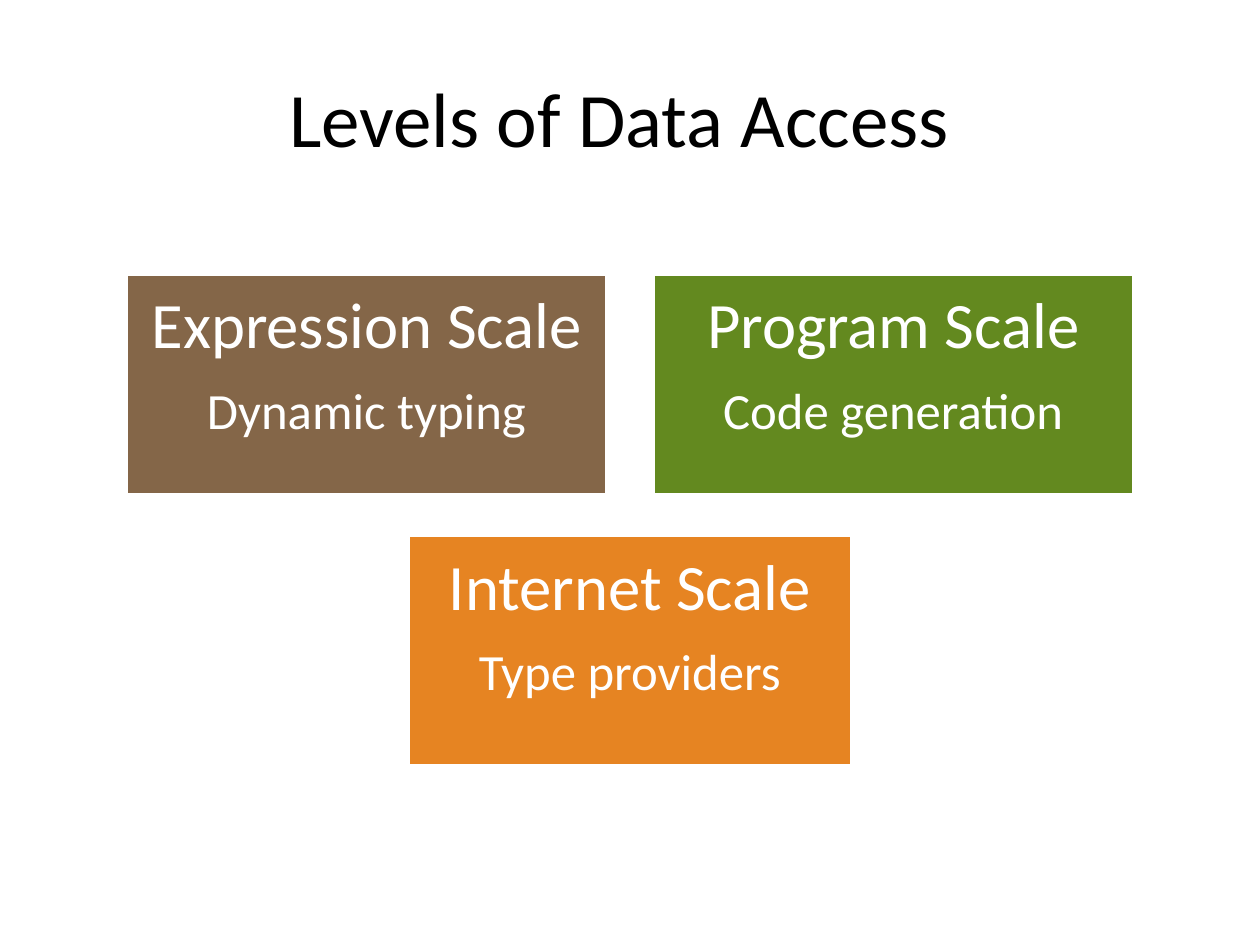
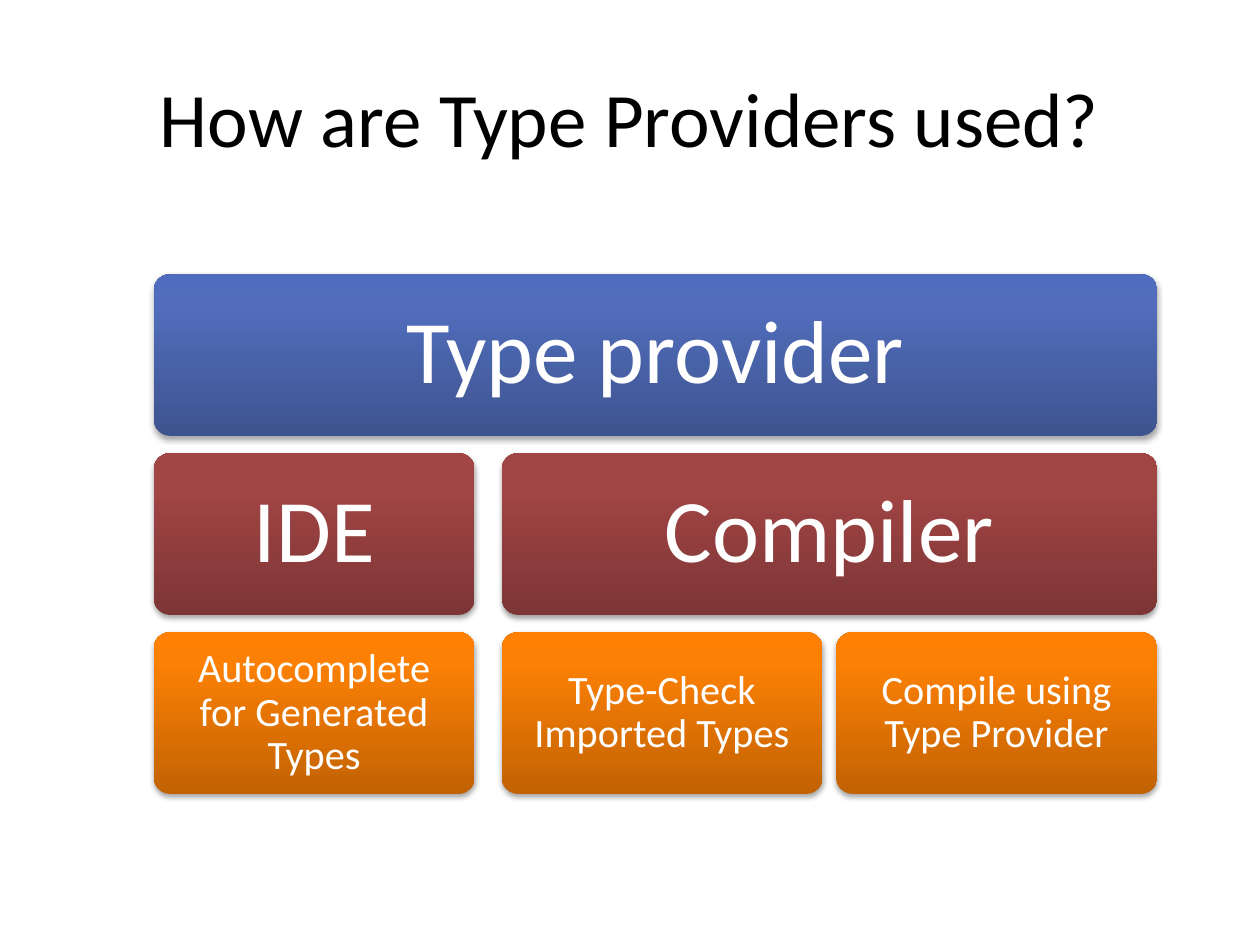
"""Builds two slides on levels of data access and the use of type providers."""
from copy import deepcopy

from lxml import etree
from pptx import Presentation
from pptx.dml.color import RGBColor
from pptx.enum.shapes import MSO_SHAPE
from pptx.enum.text import MSO_ANCHOR, PP_ALIGN
from pptx.oxml.ns import qn
from pptx.util import Pt

RECT, ROUND = MSO_SHAPE.RECTANGLE, MSO_SHAPE.ROUNDED_RECTANGLE
TOP, MIDDLE = MSO_ANCHOR.TOP, MSO_ANCHOR.MIDDLE
CENTER = PP_ALIGN.CENTER

BLACK = RGBColor(0x00, 0x00, 0x00)
WHITE = RGBColor(0xFF, 0xFF, 0xFF)
BROWN = RGBColor(0x84, 0x66, 0x48)
GREEN = RGBColor(0x63, 0x89, 0x1F)
ORANGE = RGBColor(0xE6, 0x84, 0x22)
BLUE_STOPS = (RGBColor(0x3E, 0x54, 0x90), RGBColor(0x51, 0x6D, 0xBB), RGBColor(0x4F, 0x6C, 0xBE))
RED_STOPS = (RGBColor(0x7D, 0x35, 0x35), RGBColor(0xA2, 0x45, 0x45), RGBColor(0xA4, 0x43, 0x43))
ORANGE_STOPS = (RGBColor(0xC2, 0x62, 0x03), RGBColor(0xFB, 0x80, 0x04), RGBColor(0xFF, 0x80, 0x02))
STOP_POSITIONS = (0, 0.8, 1)


def write(p, text, size=44, color=WHITE, font="Calibri", spacing=None, after=None):
    p.alignment = CENTER
    p.line_spacing = spacing
    if after is not None:
        p.space_after = Pt(after)
    r = p.add_run()
    r.text = text
    r.font.name, r.font.size, r.font.color.rgb = font, Pt(size), color


class Deck:
    def __init__(self):
        self.prs = Presentation()
        self.prs.slide_width, self.prs.slide_height = Pt(720), Pt(540)
        self.s = None

    def slide(self, title, left=36):
        self.s = self.prs.slides.add_slide(self.prs.slide_layouts[5])
        sp = self.s.shapes.title
        sp.left, sp.top, sp.width, sp.height = Pt(left), Pt(21.6), Pt(648), Pt(90)
        sp.text_frame.vertical_anchor = MIDDLE
        write(sp.text_frame.paragraphs[0], title, color=BLACK)

    def box(self, kind, left, top, width, height, lines, inset, anchor):
        sp = self.s.shapes.add_shape(kind, Pt(left), Pt(top), Pt(width), Pt(height))
        sp.shadow.inherit = False
        tf = sp.text_frame
        tf.word_wrap, tf.vertical_anchor = True, anchor
        tf.margin_left = tf.margin_right = tf.margin_top = tf.margin_bottom = Pt(inset)
        for i, (text, size, after) in enumerate(lines):
            p = tf.add_paragraph() if i else tf.paragraphs[0]
            write(p, text, size=size, spacing=0.9, after=after)
        return sp

    def level(self, left, top, width, height, color, heading, detail):
        lines = [(heading, 37, 13), (detail, 29, 4)]
        sp = self.box(RECT, left, top, width, height, lines, 10.8, TOP)
        sp.fill.solid()
        sp.fill.fore_color.rgb = color
        sp.line.color.rgb, sp.line.width = WHITE, Pt(2)

    def block(self, left, top, width, height, colors, text, size, inset):
        sp = self.box(ROUND, left, top, width, height, [(text, size, 0)], inset, MIDDLE)
        sp.adjustments[0] = 0.1
        sp.line.fill.background()
        self.gradient(sp, colors)
        self.shadow(sp)

    def gradient(self, sp, colors):
        sp.fill.gradient()
        sp.fill.gradient_angle = 90
        stops = sp._element.spPr.find(".//" + qn("a:gsLst"))
        stops.append(deepcopy(stops[-1]))
        for stop, position, color in zip(sp.fill.gradient_stops, STOP_POSITIONS, colors):
            stop.position, stop.color.rgb = position, color

    def shadow(self, sp):
        effects = sp._element.spPr.find(qn("a:effectLst"))
        outer = etree.SubElement(effects, qn("a:outerShdw"), blurRad=str(Pt(3.1)),
                                 dist=str(Pt(1.8)), dir="5400000", rotWithShape="0")
        color = etree.SubElement(outer, qn("a:srgbClr"), val=str(BLACK))
        etree.SubElement(color, qn("a:alpha"), val="35000")


def levels_slide(deck):
    deck.slide("Levels of Data Access", left=30)
    deck.level(72, 156.5, 275, 126, BROWN, "Expression Scale", "Dynamic typing")
    deck.level(373, 156.5, 275, 126, GREEN, "Program Scale", "Code generation")
    deck.level(233.3, 306, 253.4, 131.8, ORANGE, "Internet Scale", "Type providers")


def usage_slide(deck):
    deck.slide("How are Type Providers used?")
    lefts, width = (87.9, 286.7, 477.9), 183.4
    top, pitch, height = 156.7, 102.3, 92.4
    styles = ((BLUE_STOPS, 51, 18), (RED_STOPS, 51, 18), (ORANGE_STOPS, 23, 10))
    blocks = (
        ("Type provider", 0, 0, 2),
        ("IDE", 1, 0, 0),
        ("Compiler", 1, 1, 2),
        ("Autocomplete for Generated Types", 2, 0, 0),
        ("Type-Check Imported Types", 2, 1, 1),
        ("Compile using Type Provider", 2, 2, 2),
    )
    for text, row, first, last in blocks:
        colors, size, inset = styles[row]
        span = lefts[last] + width - lefts[first]
        deck.block(lefts[first], top + row * pitch, span, height, colors, text, size, inset)


def main():
    deck = Deck()
    levels_slide(deck)
    usage_slide(deck)
    deck.prs.save("out.pptx")


if __name__ == "__main__":
    main()
